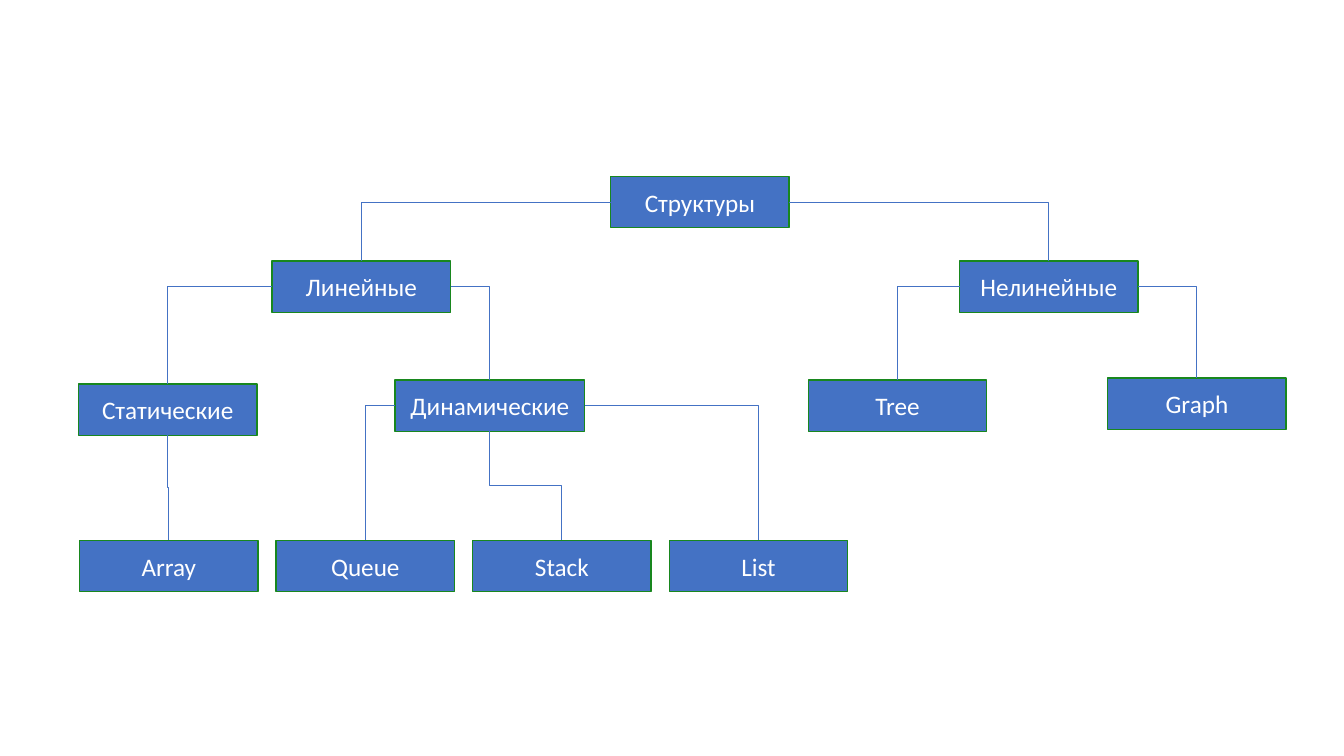
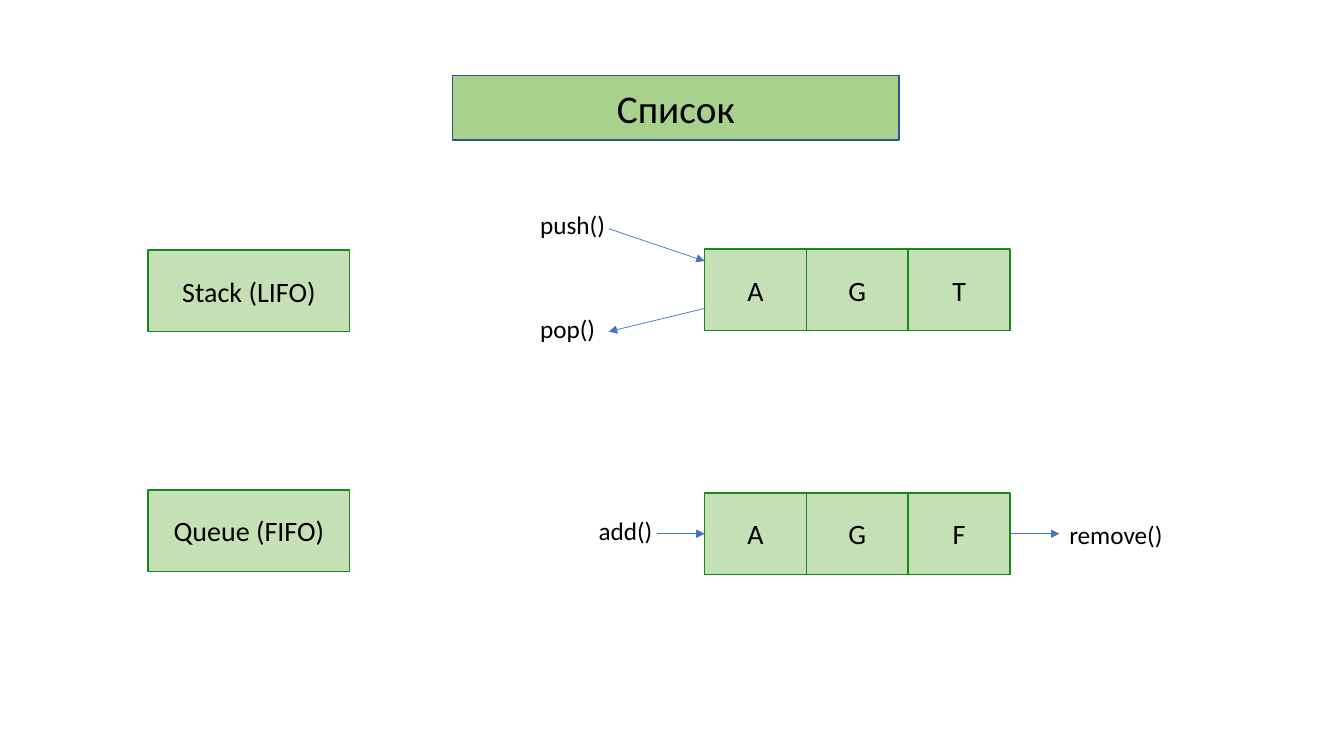
from dataclasses import dataclass

from lxml import etree
from pptx import Presentation
from pptx.dml.color import RGBColor
from pptx.enum.shapes import MSO_CONNECTOR, MSO_SHAPE
from pptx.enum.text import MSO_ANCHOR, MSO_AUTO_SIZE, PP_ALIGN
from pptx.oxml.ns import qn
from pptx.util import Inches, Pt

RECTANGLE = MSO_SHAPE.RECTANGLE
STRAIGHT, ELBOW = MSO_CONNECTOR.STRAIGHT, MSO_CONNECTOR.ELBOW
CENTER, MIDDLE = PP_ALIGN.CENTER, MSO_ANCHOR.MIDDLE
FIT_SHAPE = MSO_AUTO_SIZE.SHAPE_TO_FIT_TEXT
TOP, LEFT, BOTTOM, RIGHT = range(4)

# Shared style
FONT = "Calibri"
BLUE = RGBColor(0x44, 0x72, 0xC4)
NAVY = RGBColor(0x32, 0x54, 0x91)
GREEN = RGBColor(0x18, 0x87, 0x1E)
TITLE_GREEN = RGBColor(0xA9, 0xD1, 0x8E)
PALE_GREEN = RGBColor(0xC5, 0xE0, 0xB4)
WHITE = RGBColor(0xFF, 0xFF, 0xFF)
BLACK = RGBColor(0, 0, 0)

# Grid of 40 columns by 30 rows
SLIDE_W, SLIDE_H = Inches(13.333), Inches(7.5)
COL, ROW = SLIDE_W / 40, SLIDE_H / 30

# Tree: name -> column, row inside the tree's box
NODE_W, WIDE_NODE_W, NODE_H = 5.31, 5.64, 2.04
LEAF_STEP, LEAF_ROW = 5.85, 14.44
BRANCHES = {
    "Структуры": (15.84, 0),
    "Линейные": (5.76, 3.36),
    "Нелинейные": (26.22, 3.36),
    "Статические": (0, 8.24),
    "Динамические": (9.42, 8.08),
    "Tree": (21.72, 8.08),
    "Graph": (30.63, 8),
}
LEAVES = ("Array", "Queue", "Stack", "List")
LINKS = (
    ("Структуры", LEFT, "Линейные"),
    ("Структуры", RIGHT, "Нелинейные"),
    ("Линейные", LEFT, "Статические"),
    ("Линейные", RIGHT, "Динамические"),
    ("Нелинейные", LEFT, "Tree"),
    ("Нелинейные", RIGHT, "Graph"),
    ("Статические", BOTTOM, "Array"),
    ("Динамические", LEFT, "Queue"),
    ("Динамические", RIGHT, "List"),
    ("Динамические", BOTTOM, "Stack"),
)

# List sections
LABEL_W, CELL_W, CELL_H, CELLS_COL = 6, 3.03, 3.24, 16.56
CALL_H = 1.6


@dataclass
class Box:
    col: float
    row: float
    cols: float
    rows: float

    def inner(self, col, row, cols, rows):
        return Box(self.col + col, self.row + row, cols, rows)

    def point(self, col=0, row=0):
        return round((self.col + col) * COL), round((self.row + row) * ROW)

    def frame(self):
        return *self.point(), round(self.cols * COL), round(self.rows * ROW)


def add_text(frame, text, size, color):
    paragraph = frame.paragraphs[0]
    run = paragraph.add_run()
    run.text = text
    run.font.name, run.font.size = FONT, Pt(size)
    run.font.color.rgb = color
    return paragraph


def add_block(slide, box, text, size, fill, line=GREEN, color=BLACK):
    block = slide.shapes.add_shape(RECTANGLE, *box.frame())
    block.shadow.inherit = False
    block.fill.solid()
    block.fill.fore_color.rgb = fill
    block.line.color.rgb, block.line.width = line, Pt(1)
    block.text_frame.word_wrap = True
    block.text_frame.vertical_anchor = MIDDLE
    add_text(block.text_frame, text, size, color).alignment = CENTER
    return block


def add_line(slide, kind, start, end, width):
    line = slide.shapes.add_connector(kind, *start, *end)
    line.line.color.rgb, line.line.width = BLUE, Pt(width)
    etree.SubElement(line._element.spPr, qn("a:effectLst"))
    return line


def add_arrow(slide, start, end):
    arrow = add_line(slide, STRAIGHT, start, end, 0.5)
    outline = arrow._element.spPr.find(qn("a:ln"))
    etree.SubElement(outline, qn("a:tailEnd"), type="triangle")
    return arrow


def side_point(block, side):
    share_x, share_y = ((0.5, 0), (0, 0.5), (0.5, 1), (1, 0.5))[side]
    return (round(block.left + block.width * share_x),
            round(block.top + block.height * share_y))


def add_link(slide, parent, side, child):
    (x1, y1), (x2, y2) = side_point(parent, side), side_point(child, TOP)
    link = add_line(slide, ELBOW, (x1, y1), (x2, y2), 0.75)
    link.begin_connect(parent, side)
    link.end_connect(child, TOP)
    properties = link._element.spPr
    if side == BOTTOM:
        # A downward step is a sideways step turned by a quarter
        across, down = x2 - x1, y2 - y1
        link.left, link.top = (x1 + x2 - down) // 2, (y1 + y2 - across) // 2
        link.width, link.height = down, across
        transform = properties.find(qn("a:xfrm"))
        transform.set("rot", "16200000")
        transform.set("flipH", "1")
    else:
        properties.find(qn("a:prstGeom")).set("prst", "bentConnector2")


def draw_tree(slide, box):
    places = dict(BRANCHES)
    for index, leaf in enumerate(LEAVES):
        places[leaf] = (0.03 + index * LEAF_STEP, LEAF_ROW)
    nodes = {}
    for name, (col, row) in places.items():
        width = WIDE_NODE_W if name == "Динамические" else NODE_W
        nodes[name] = add_block(slide, box.inner(col, row, width, NODE_H),
                                name, 18, BLUE, color=WHITE)
    for parent, side, child in LINKS:
        add_link(slide, nodes[parent], side, nodes[child])


def draw_section(slide, box, label, letters, cells_row):
    add_block(slide, box.inner(0, 0, LABEL_W, CELL_H), label, 20, PALE_GREEN)
    return [
        add_block(slide, box.inner(CELLS_COL + index * CELL_W, cells_row,
                                   CELL_W, CELL_H), letter, 20, PALE_GREEN)
        for index, letter in enumerate(letters)
    ]


def add_call(slide, box, text):
    call = slide.shapes.add_textbox(*box.frame())
    call.text_frame.word_wrap = False
    call.text_frame.auto_size = FIT_SHAPE
    add_text(call.text_frame, text, 18, BLACK)


def draw_stack(slide, box):
    draw_section(slide, box, "Stack (LIFO)", "AGT", -0.04)
    add_arrow(slide, box.point(13.71, -0.84), box.point(CELLS_COL, 0.44))
    add_arrow(slide, box.point(CELLS_COL, 2.32), box.point(13.71, 3.24))
    add_call(slide, box.inner(11.37, -1.8, 2.55, CALL_H), "push()")
    add_call(slide, box.inner(11.37, 2.32, 2.28, CALL_H), "pop()")


def draw_queue(slide, box):
    cells_row = 0.12
    cells = draw_section(slide, box, "Queue (FIFO)", "AGF", cells_row)
    middle = cells_row + CELL_H / 2
    enter = add_arrow(slide, box.point(15.15, middle),
                      side_point(cells[0], LEFT))
    enter.end_connect(cells[0], LEFT)
    leave = add_arrow(slide, side_point(cells[-1], RIGHT),
                      box.point(27.12, middle))
    leave.begin_connect(cells[-1], RIGHT)
    add_call(slide, box.inner(13.11, 0.8, 2.22, CALL_H), "add()")
    add_call(slide, box.inner(27.12, 0.96, 3.42, CALL_H), "remove()")


def draw_list(slide, box):
    add_block(slide, box.inner(9.06, 0, 13.29, 2.56), "Список", 28,
              TITLE_GREEN, NAVY)
    draw_stack(slide, box.inner(0, 6.92, box.cols, CELL_H))
    draw_queue(slide, box.inner(0, 16.44, box.cols, CELL_H))


def main():
    deck = Presentation()
    deck.slide_width, deck.slide_height = SLIDE_W, SLIDE_H
    blank = deck.slide_layouts[6]
    draw_tree(deck.slides.add_slide(blank), Box(2.34, 7, 35.94, 16.48))
    draw_list(deck.slides.add_slide(blank), Box(4.41, 3, 30.54, 19.8))
    deck.save("out.pptx")


if __name__ == "__main__":
    main()
